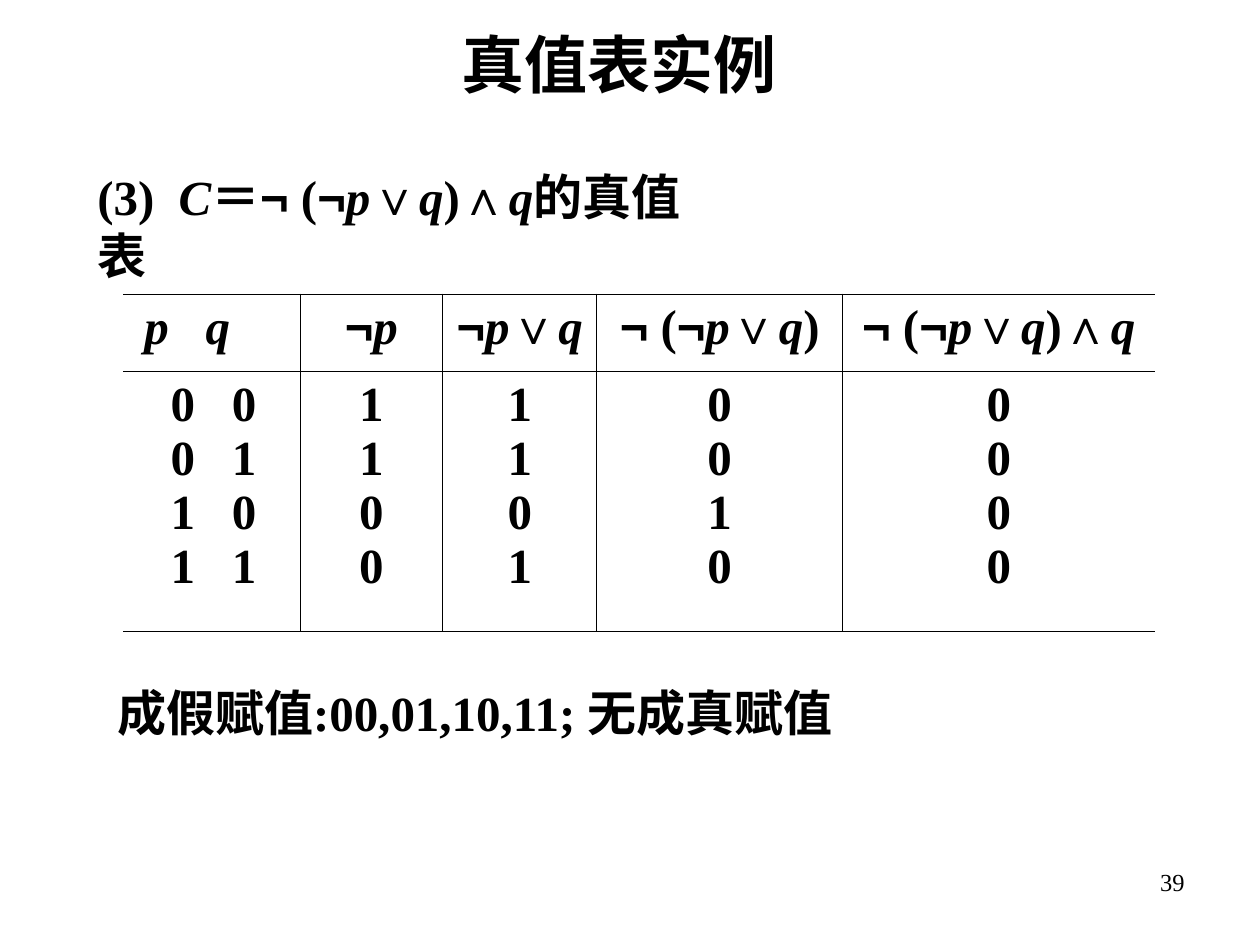
import itertools

import pptx
import pptx.enum.text
import pptx.oxml
import pptx.oxml.ns
import pptx.dml.color
import pptx.util

Pt = pptx.util.Pt
ALIGN = pptx.enum.text.PP_ALIGN
ANCHOR = pptx.enum.text.MSO_ANCHOR

COLORS = {"ink": "000000", "paper": "FFFFFF"}
FONTS = {"text": "Times New Roman", "symbol": "Arial", "han": "Noto Sans CJK SC"}


def character_kind(character):
    if character in "¬∨∧":
        return "symbol"
    if "一" <= character <= "鿿":
        return "han"
    if character.isascii() and character.isalpha():
        return "variable"
    return "text"


class SlideBuilder:
    def __init__(self, deck):
        self.page = deck.slides.add_slide(deck.slide_layouts[5])
        self.ink = pptx.dml.color.RGBColor.from_string(COLORS["ink"])
        background = self.page.background.fill
        background.solid()
        background.fore_color.rgb = pptx.dml.color.RGBColor.from_string(COLORS["paper"])

    def add_spans(self, para, text, size=28, bold=True, align=ALIGN.LEFT, tab=None):
        para.alignment = align
        if tab:
            properties = para._p.get_or_add_pPr()
            stops = pptx.oxml.parse_xml(
                f'<a:tabLst {pptx.oxml.ns.nsdecls("a")}>'
                f'<a:tab pos="{Pt(tab)}" algn="l"/></a:tabLst>')
            properties.append(stops)
        for kind, characters in itertools.groupby(text, character_kind):
            span = para.add_run()
            span.text = "".join(characters)
            font = span.font
            font.size, font.bold, font.italic = Pt(size), bold, kind == "variable"
            font.color.rgb = self.ink
            font.name = FONTS.get(kind, FONTS["text"])
            if kind == "han":
                east_asian = pptx.oxml.parse_xml(
                    f'<a:ea {pptx.oxml.ns.nsdecls("a")} typeface="{FONTS["han"]}"/>')
                span._r.rPr.append(east_asian)

    def fill_box(self, box, text, anchor, wrap, **style):
        frame = box.text_frame
        frame.auto_size = pptx.enum.text.MSO_AUTO_SIZE.NONE
        frame.word_wrap = wrap
        frame.vertical_anchor = anchor
        self.add_spans(frame.paragraphs[0], text, **style)

    def title(self, text, left, top, width, height):
        box = self.page.shapes.title
        box.left, box.top, box.width, box.height = map(Pt, (left, top, width, height))
        self.fill_box(box, text, ANCHOR.TOP, False, size=36)

    def text(self, text, left, top, width, height, anchor=ANCHOR.MIDDLE, wrap=True, **style):
        box = self.page.shapes.add_textbox(*map(Pt, (left, top, width, height)))
        self.fill_box(box, text, anchor, wrap, **style)

    def border(self, cell, hidden_side):
        properties = cell._tc.get_or_add_tcPr()
        for side in "LRTB":
            paint = "<a:noFill/>" if side == hidden_side else (
                f'<a:solidFill><a:srgbClr val="{COLORS["ink"]}"/></a:solidFill>')
            properties.append(pptx.oxml.parse_xml(
                f'<a:ln{side} {pptx.oxml.ns.nsdecls("a")} w="{Pt(0.45)}">{paint}</a:ln{side}>'))
        cell.fill.background()

    def truth_table(self, columns, left, top, row_heights):
        widths = [width for width, _, _ in columns]
        table = self.page.shapes.add_table(
            len(row_heights), len(columns), Pt(left), Pt(top),
            Pt(sum(widths)), Pt(sum(row_heights))).table
        table.first_row = table.horz_banding = False
        for row, height in zip(table.rows, row_heights):
            row.height = Pt(height)
        for index, (width, heading, values) in enumerate(columns):
            table.columns[index].width = Pt(width)
            hidden_side = {0: "L", len(columns) - 1: "R"}.get(index)
            paired = "\t" in heading
            for row, lines in enumerate(([heading], values)):
                cell = table.cell(row, index)
                self.border(cell, hidden_side)
                if paired:
                    cell.margin_left = Pt((12, 27)[row])
                frame = cell.text_frame
                for number, line in enumerate(lines):
                    para = frame.add_paragraph() if number else frame.paragraphs[0]
                    self.add_spans(para, line, align=ALIGN.LEFT if paired else ALIGN.CENTER,
                                   tab=35 if paired else None)


def main():
    deck = pptx.Presentation()
    deck.slide_width, deck.slide_height = Pt(720), Pt(540)
    builder = SlideBuilder(deck)
    builder.title("真值表实例", 256.5, 11, 194.5, 50.5)
    builder.text("(3)\tC＝¬ (¬p∨q)∧q的真值表", 48.5, 108.5, 361.5, 41, tab=46.5)
    builder.truth_table([
        (101, "p\tq", ["0\t0", "0\t1", "1\t0", "1\t1"]),
        (81.5, "¬p", "1100"),
        (88, "¬p∨q", "1101"),
        (140.5, "¬ (¬p∨q)", "0010"),
        (178.5, "¬ (¬p∨q)∧q", "0000"),
    ], 70.5, 168, (44, 149))
    builder.text("成假赋值:00,01,10,11; 无成真赋值", 60, 386.5, 437.5, 41, wrap=False)
    builder.text("39", 516, 492, 168, 37.5, anchor=ANCHOR.TOP,
                 size=14, bold=False, align=ALIGN.RIGHT)
    deck.save("out.pptx")


if __name__ == "__main__":
    main()
